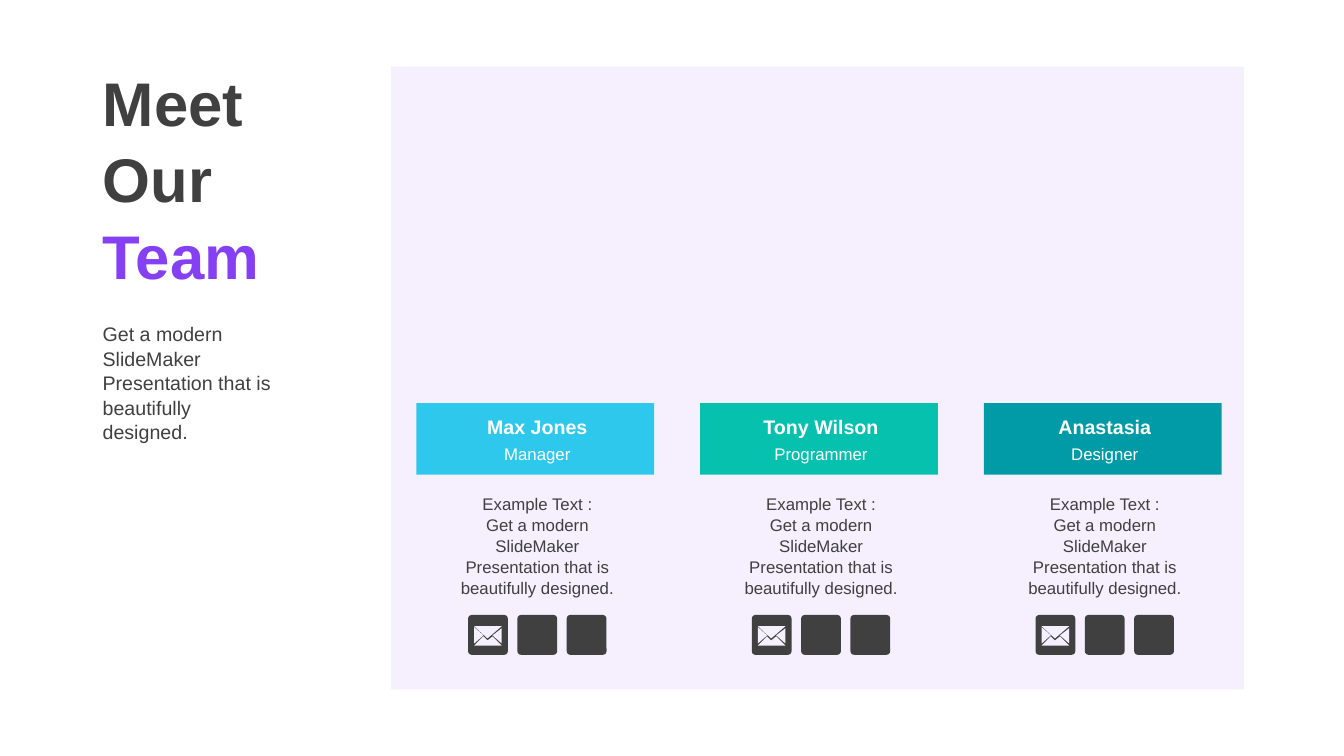
from dataclasses import dataclass
from typing import NamedTuple

from lxml import etree
from pptx import Presentation
from pptx.dml.color import RGBColor
from pptx.enum.shapes import MSO_SHAPE
from pptx.enum.text import MSO_ANCHOR, MSO_AUTO_SIZE, PP_ALIGN
from pptx.oxml.ns import qn
from pptx.util import Inches, Pt

RECTANGLE, ROUNDED = MSO_SHAPE.RECTANGLE, MSO_SHAPE.ROUNDED_RECTANGLE
TOP, MIDDLE = MSO_ANCHOR.TOP, MSO_ANCHOR.MIDDLE
LEFT, CENTER = PP_ALIGN.LEFT, PP_ALIGN.CENTER
FIXED = MSO_AUTO_SIZE.NONE

SLIDE_WIDTH, SLIDE_HEIGHT = Inches(13.33), Inches(7.5)


@dataclass(frozen=True)
class Theme:
    font: str = "Arial"
    ink: str = "404040"
    accent: str = "8540F4"
    panel: str = "E7D9FD"
    panel_opacity: int = 40
    icon_paper: str = "F5F0FE"
    white: str = "FFFFFF"
    title_size: int = 44
    lead_size: int = 14
    body_size: int = 12
    line_spacing: float = 1.04


THEME = Theme()


class Area(NamedTuple):
    """A rectangle in percent of the slide's width and height."""
    left: float
    top: float
    width: float
    height: float

    def shifted(self, across: float) -> "Area":
        return self._replace(left=self.left + across)

    def lengths(self) -> tuple[int, int, int, int]:
        return (int(SLIDE_WIDTH * self.left / 100), int(SLIDE_HEIGHT * self.top / 100),
                int(SLIDE_WIDTH * self.width / 100), int(SLIDE_HEIGHT * self.height / 100))


class Style(NamedTuple):
    size: int
    color: str
    bold: bool = False
    align: PP_ALIGN = LEFT
    anchor: MSO_ANCHOR = TOP


class Member(NamedTuple):
    name: str
    role: str
    color: str


TITLE = Area(6.9, 7.47, 16.95, 30.93)
INTRO = Area(6.9, 41.87, 14.78, 13.87)
PANEL = Area(29.1, 8.8, 63.45, 82.4)

# First member column; the others follow at an equal pitch
BANNER = Area(30.98, 53.33, 17.7, 9.47)
NAME = Area(33.98, 54.67, 12, 3.33)
ROLE = Area(33.98, 58.27, 12, 3.33)
BODY = Area(32.6, 64.53, 14.78, 14.8)
ICON = Area(34.83, 81.35, 2.96, 5.27)
MEMBER_PITCH, ICON_PITCH, ICON_COUNT = 21.11, 3.67, 3

MEMBERS = (
    Member("Max Jones", "Manager", "2EC8ED"),
    Member("Tony Wilson", "Programmer", "07C1AF"),
    Member("Anastasia", "Designer", "019BA7"),
)
PITCH_LINE = "Get a modern SlideMaker Presentation that is beautifully designed."

# Envelope flaps on a grid of 39 by 39 units per icon
ICON_UNITS = 39
ENVELOPE_FLAPS = (
    ((24, 21), (19, 25), (15, 21), (6, 30), (33, 30)),
    ((33, 13), (24, 20), (33, 28)),
    ((6, 12), (6, 28), (15, 20)),
    ((6, 11), (19, 23), (33, 11)),
)


def paint(shape, color: str) -> None:
    shape.shadow.inherit = False
    shape.fill.solid()
    shape.fill.fore_color.rgb = RGBColor.from_string(color)
    shape.line.fill.background()


def add_block(page, kind: MSO_SHAPE, area: Area, color: str):
    block = page.shapes.add_shape(kind, *area.lengths())
    paint(block, color)
    return block


def format_paragraph(para, style: Style) -> None:
    para.alignment = style.align
    para.line_spacing = THEME.line_spacing
    para.font.name = THEME.font
    para.font.size = Pt(style.size)
    para.font.bold = style.bold
    para.font.color.rgb = RGBColor.from_string(style.color)


def prepare_frame(frame, anchor: MSO_ANCHOR) -> None:
    frame.word_wrap = True
    frame.auto_size = FIXED
    frame.vertical_anchor = anchor


def add_text(page, area: Area, lines: tuple[str, ...], style: Style) -> None:
    frame = page.shapes.add_textbox(*area.lengths()).text_frame
    prepare_frame(frame, style.anchor)
    for index, line in enumerate(lines):
        para = frame.add_paragraph() if index else frame.paragraphs[0]
        para.text = line
        format_paragraph(para, style)


def add_title(page) -> None:
    title = page.shapes.title
    title.left, title.top, title.width, title.height = TITLE.lengths()
    prepare_frame(title.text_frame, TOP)
    para = title.text_frame.paragraphs[0]
    para.add_run().text = "Meet Our "
    team = para.add_run()
    team.text = "Team"
    format_paragraph(para, Style(THEME.title_size, THEME.ink, bold=True))
    team.font.color.rgb = RGBColor.from_string(THEME.accent)


def add_panel(page) -> None:
    panel = add_block(page, RECTANGLE, PANEL, THEME.panel)
    color = panel.fill._xPr.find(qn("a:solidFill"))[0]
    etree.SubElement(color, qn("a:alpha"), val=str(THEME.panel_opacity * 1000))


def add_envelope(page, area: Area) -> None:
    left, top, width, _ = area.lengths()
    first, *others = ENVELOPE_FLAPS
    builder = page.shapes.build_freeform(*first[0], scale=width / ICON_UNITS)
    builder.add_line_segments(first[1:], close=True)
    for flap in others:
        builder.move_to(*flap[0])
        builder.add_line_segments(flap[1:], close=True)
    paint(builder.convert_to_shape(left, top), THEME.icon_paper)


def add_member(page, member: Member, shift: float) -> None:
    # Banner with name and role
    add_block(page, RECTANGLE, BANNER.shifted(shift), member.color)
    add_text(page, NAME.shifted(shift), (member.name,),
             Style(THEME.lead_size, THEME.white, True, CENTER, MIDDLE))
    add_text(page, ROLE.shifted(shift), (member.role,),
             Style(THEME.body_size, THEME.white, False, CENTER, MIDDLE))

    # Description
    add_text(page, BODY.shifted(shift), ("Example Text :", PITCH_LINE),
             Style(THEME.body_size, THEME.ink, align=CENTER))

    # Contact icons: mail first, then plain tiles
    for index in range(ICON_COUNT):
        tile = add_block(page, ROUNDED, ICON.shifted(shift + index * ICON_PITCH), THEME.ink)
        tile.adjustments[0] = 0.09
    add_envelope(page, ICON.shifted(shift))


def main() -> None:
    deck = Presentation()
    deck.slide_width, deck.slide_height = SLIDE_WIDTH, SLIDE_HEIGHT
    page = deck.slides.add_slide(deck.slide_layouts.get_by_name("Title Only"))

    add_panel(page)
    for index, member in enumerate(MEMBERS):
        add_member(page, member, index * MEMBER_PITCH)
    add_title(page)
    add_text(page, INTRO, (PITCH_LINE,), Style(THEME.lead_size, THEME.ink))

    deck.save("out.pptx")


if __name__ == "__main__":
    main()
